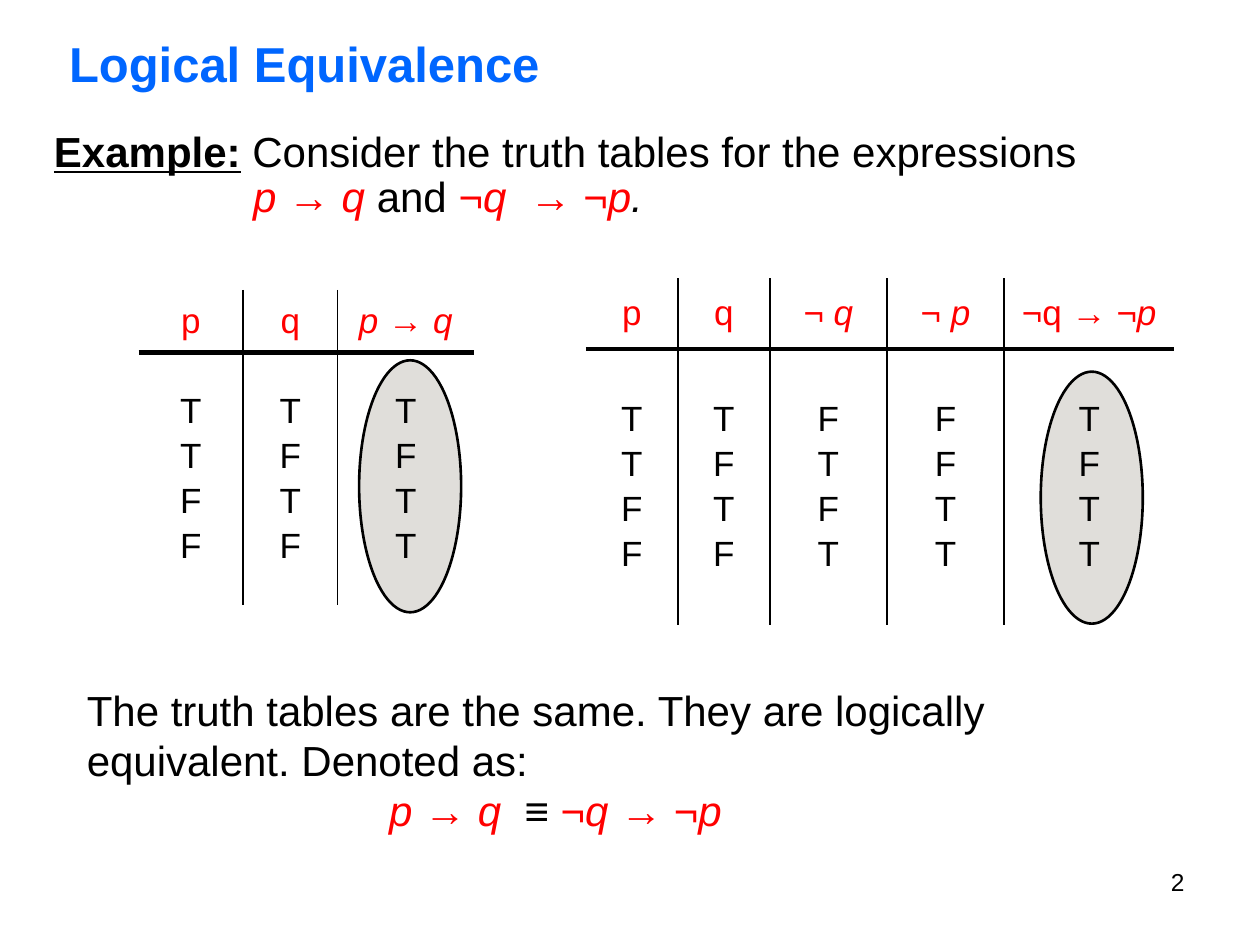
from lxml.etree import SubElement
from pptx import Presentation
from pptx.dml.color import RGBColor
from pptx.enum.shapes import MSO_SHAPE as Shape
from pptx.enum.text import MSO_ANCHOR as Anchor, PP_ALIGN as Align
from pptx.oxml.ns import qn
from pptx.util import Inches, Pt

BLACK = RGBColor(0, 0, 0)
RED = RGBColor(255, 0, 0)
BLUE = RGBColor(0, 102, 255)
GREY = RGBColor(224, 222, 218)
FONT = "Arial"
THIN, THICK = 1, 3
ROMAN = {"color": RED}
ITALIC = {"color": RED, "italic": True}


def across(percent):
    return Inches(round(10 * percent / 100, 2))


def down(percent):
    return Inches(round(7.5 * percent / 100, 2))


def area(left, top, width, height):
    return across(left), down(top), across(width), down(height)


def add_runs(paragraph, runs, size):
    for text, style in runs:
        run = paragraph.add_run()
        run.text = text
        font = run.font
        font.name, font.size = FONT, Pt(size)
        font.color.rgb = style.get("color", BLACK)
        font.bold = style.get("bold", False)
        font.italic = style.get("italic", False)
        font.underline = style.get("underline", False)


def fill_frame(frame, paragraphs, size, align=Align.LEFT, before=0):
    for index, runs in enumerate(paragraphs):
        paragraph = frame.add_paragraph() if index else frame.paragraphs[0]
        paragraph.alignment = align
        paragraph.space_before = Pt(before)
        add_runs(paragraph, runs, size)


def add_text(slide, box, paragraphs, size, align=Align.LEFT, anchor=Anchor.TOP):
    frame = slide.shapes.add_textbox(*area(*box)).text_frame
    frame.word_wrap = True
    frame.vertical_anchor = anchor
    fill_frame(frame, paragraphs, size, align)
    return frame.paragraphs


def indent(paragraph, percent):
    paragraph._p.get_or_add_pPr().set("marL", str(across(percent)))


def add_highlight(slide, left, top):
    ellipse = slide.shapes.add_shape(Shape.OVAL, *area(left, top, 8.1, 26.67))
    ellipse.shadow.inherit = False
    ellipse.fill.solid()
    ellipse.fill.fore_color.rgb = GREY
    ellipse.line.color.rgb = BLACK
    ellipse.line.width = Pt(1.5)


def set_borders(cell, widths):
    properties = cell._tc.get_or_add_tcPr()
    for side in "LRTB":
        width = widths.get(side, 0)
        line = SubElement(properties, qn("a:ln" + side), w=str(Pt(width)))
        if width:
            fill = SubElement(line, qn("a:solidFill"))
            SubElement(fill, qn("a:srgbClr"), val=str(BLACK))
        else:
            SubElement(line, qn("a:noFill"))


def add_truth_table(slide, left, top, heights, columns):
    widths = [width for width, header, values in columns]
    box = area(left, top, sum(widths), sum(heights))
    table = slide.shapes.add_table(2, len(columns), *box).table
    table.first_row = table.horz_banding = False
    for row, height in zip(table.rows, heights):
        row.height = down(height)
    last = len(columns) - 1
    for index, (width, header, values) in enumerate(columns):
        table.columns[index].width = across(width)
        sides = {"L": THIN if index else 0, "R": THIN if index < last else 0}
        value_lines = [[(value, {})] for value in values]
        for row, edge, lines in ((0, "B", [header]), (1, "T", value_lines)):
            cell = table.cell(row, index)
            set_borders(cell, {**sides, edge: THICK})
            cell.fill.background()
            cell.vertical_anchor = Anchor.MIDDLE
            fill_frame(cell.text_frame, lines, 20, Align.CENTER, 3.3)


def add_example(slide):
    paragraphs = add_text(slide, (3.3, 13.2, 90.8, 15.2), [
        [("Example:", {"bold": True, "underline": True}),
         (" Consider the truth tables for the expressions", {})],
        [("p ", ITALIC), ("→ ", ROMAN), ("q ", ITALIC), ("and ", {}),
         ("¬", ROMAN), ("q  ", ITALIC), ("→ ¬", ROMAN), ("p", ITALIC),
         (".", {"italic": True})],
    ], 24)
    paragraphs[0].space_before = Pt(4.8)
    for paragraph in paragraphs:
        paragraph.line_spacing = 0.9
    indent(paragraphs[1], 15.8)


def add_conclusion(slide):
    paragraphs = add_text(slide, (5.9, 71.73, 90.1, 17.47), [
        [("The truth tables are the same. They are logically equivalent. "
          "Denoted as:", {})],
        [("p ", ITALIC), ("→ ", ROMAN), ("q  ", ITALIC), ("≡ ", {}),
         ("¬q ", ITALIC), ("→ ", ROMAN), ("¬p", ITALIC)],
    ], 24)
    indent(paragraphs[1], 24)


def main():
    presentation = Presentation()
    presentation.slide_width, presentation.slide_height = across(100), down(100)
    slide = presentation.slides.add_slide(presentation.slide_layouts[6])
    add_highlight(slide, 82.6, 39.33)
    add_highlight(slide, 28.5, 38.13)
    add_example(slide)
    p, q = [("p", ROMAN)], [("q", ROMAN)]
    implication = [("p ", ITALIC), ("→ ", ROMAN), ("q", ITALIC)]
    contrapositive = [("¬", ITALIC), ("q → ", ROMAN), ("¬p", ITALIC)]
    add_truth_table(slide, 11, 30.67, (6.67, 26.67), [
        (8.3, p, "TTFF"), (7.5, q, "TFTF"), (10.8, implication, "TFTT")])
    add_truth_table(slide, 46.5, 29.47, (7.47, 29.2), [
        (7.3, p, "TTFF"), (7.3, q, "TFTF"),
        (9.3, [("¬ q", ITALIC)], "FTFT"), (9.3, [("¬ p", ITALIC)], "FFTT"),
        (13.5, contrapositive, "TFTT")])
    add_text(slide, (71.7, 91.07, 23.3, 6.93), [[("2", {})]], 14, Align.RIGHT)
    title = [("Logical Equivalence", {"color": BLUE, "bold": True})]
    add_text(slide, (4.5, 2.13, 93.2, 9.07), [title], 28, anchor=Anchor.MIDDLE)
    add_conclusion(slide)
    presentation.save("out.pptx")


main()
